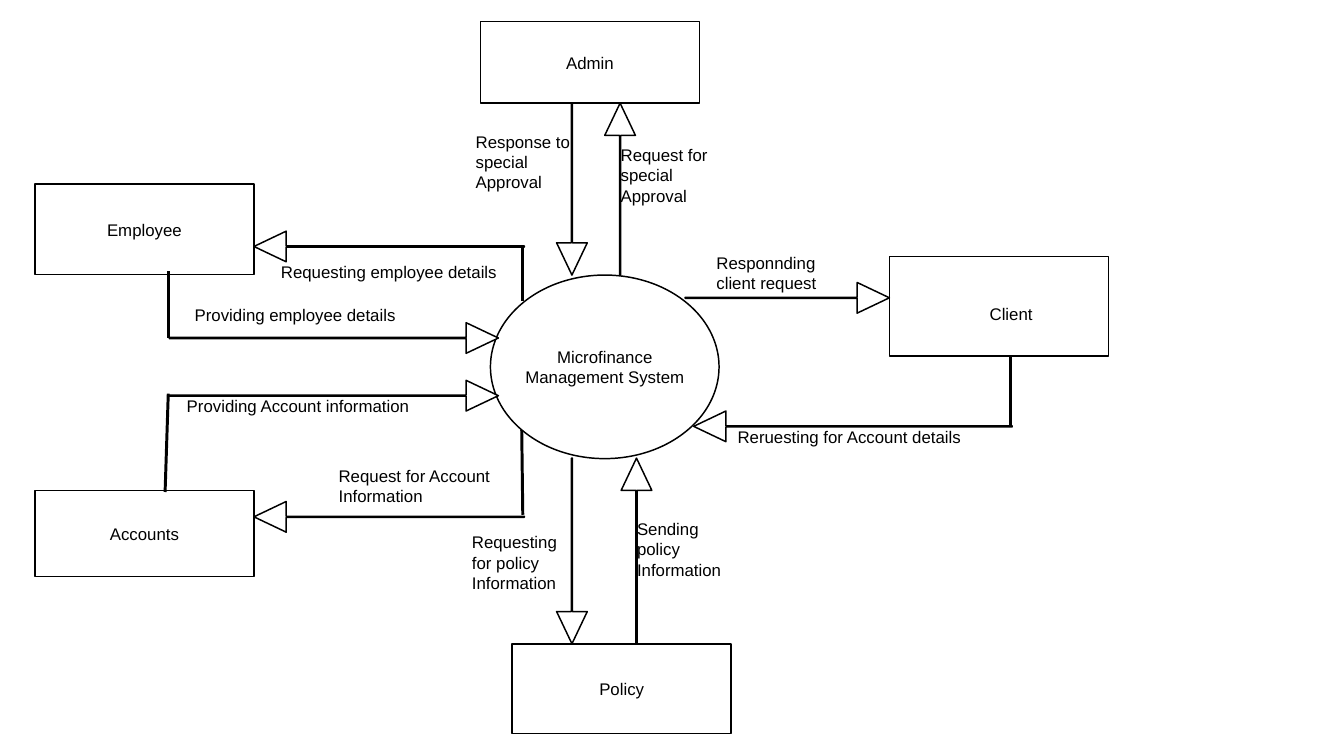
from lxml.etree import SubElement
from pptx import Presentation
from pptx.dml.color import RGBColor
from pptx.enum.shapes import MSO_CONNECTOR as Link, MSO_SHAPE as Kind
from pptx.enum.text import MSO_ANCHOR as Anchor, PP_ALIGN as Align
from pptx.oxml.ns import qn
from pptx.util import Cm, Pt

BLACK = RGBColor(0, 0, 0)
WHITE = RGBColor(255, 255, 255)
FONT = {"name": "Arial", "size": Pt(9)}
FRAME = {"margin_left": 0, "margin_right": 0, "margin_top": 0,
         "margin_bottom": 0, "word_wrap": True}
HEAD, HALF, THIN = 0.61, 0.29, 0.01
WIDE, LINE = 4.14, 0.38

deck = Presentation()
deck.slide_width, deck.slide_height = Cm(25.4), Cm(14.29)
slide = deck.slides.add_slide(deck.slide_layouts[6])
shapes = slide.shapes


def write(shape, text, align, anchor):
    frame = shape.text_frame
    frame.text = text
    for key, val in FRAME.items():
        setattr(frame, key, val)
    frame.vertical_anchor = anchor
    para = frame.paragraphs[0]
    para.alignment = align
    for key, val in FONT.items():
        setattr(para.font, key, val)
    para.font.color.rgb = BLACK


def paint(shape):
    shape.shadow.inherit = False
    shape.fill.solid()
    shape.fill.fore_color.rgb = WHITE
    shape.line.color.rgb = BLACK
    shape.line.width = Pt(0.79)


nodes = [
    (Kind.OVAL, "Microfinance Management System", 9.27, 5.2, 4.32, 3.47),
    (Kind.RECTANGLE, "Policy", 9.68, 12.17, WIDE, 1.7),
    (Kind.RECTANGLE, "Client", 16.81, 4.85, WIDE, 1.88),
    (Kind.RECTANGLE, "Admin", 9.08, 0.41, WIDE, 1.54),
    (Kind.RECTANGLE, "Accounts", 0.66, 9.27, WIDE, 1.63),
    (Kind.RECTANGLE, "Employee", 0.66, 3.48, WIDE, 1.71),
]
for kind, text, *area in nodes:
    node = shapes.add_shape(kind, *map(Cm, area))
    paint(node)
    write(node, text, Align.CENTER, Anchor.MIDDLE)
    if text == "Client":
        node.text_frame.margin_left = Cm(0.46)
        node.text_frame.margin_top = Cm(0.28)

flows = [
    (12.03, 12.17, 12.03, 8.66),
    (3.2, 7.48, 9.42, 7.48),
    (11.72, 5.2, 11.72, 1.95),
    (10.81, 1.95, 10.81, 5.2),
    (3.2, 6.39, 9.42, 6.39),
    (19.13, 8.06, 13.11, 8.06),
    (10.81, 8.66, 10.81, 12.17),
    (9.91, 9.77, 4.8, 9.77),
    (12.95, 5.63, 16.81, 5.63),
    (9.91, 4.66, 4.8, 4.66),
]
for x1, y1, x2, y2 in flows:
    span = abs(x2 - x1) + abs(y2 - y1)
    dx, dy = (x2 - x1) / span, (y2 - y1) / span
    neck = span - HEAD
    plan = [(span, 0), (neck, HALF), (neck, THIN), (0, THIN),
            (0, -THIN), (neck, -THIN), (neck, -HALF)]
    spots = [(Cm(x1 + a * dx - s * dy), Cm(y1 + a * dy + s * dx))
             for a, s in plan]
    pen = shapes.build_freeform(*spots[0])
    pen.add_line_segments(spots[1:], close=True)
    paint(pen.convert_to_shape())

stems = [
    (9.88, 4.65, 9.88, 5.69),
    (3.18, 6.38, 3.18, 5.13),
    (3.18, 7.44, 3.12, 9.3),
    (19.1, 8.08, 19.1, 6.71),
    (9.86, 8.13, 9.88, 9.73),
]
for ends in stems:
    stem = shapes.add_connector(Link.STRAIGHT, *map(Cm, ends))
    stem.line.color.rgb = BLACK
    stem.line.width = Pt(1.59)
    SubElement(stem._element.spPr, qn("a:effectLst"))

notes = [
    ("Response to special Approval", 8.99, 2.49, 1.82, 3),
    ("Request for special Approval", 11.73, 2.74, 1.82, 3),
    ("Requesting for policy Information", 8.92, 10.06, 1.98, 3),
    ("Sending policy Information", 12.04, 9.81, 2.01, 3),
    ("Reruesting for Account details", 13.94, 8.06, 5.18, 1),
    ("Responnding client request", 13.54, 4.78, 2.44, 2),
    ("Request for Account Information", 6.4, 8.8, 3.25, 2),
    ("Providing Account information", 3.53, 7.48, 4.75, 1),
    ("Providing employee details", 3.68, 5.76, 4.62, 1),
    ("Requesting employee details", 5.31, 4.95, 4.75, 1),
]
for text, left, top, width, rows in notes:
    note = shapes.add_textbox(Cm(left), Cm(top), Cm(width), Cm(rows * LINE))
    write(note, text, Align.LEFT, Anchor.TOP)

deck.save("out.pptx")
